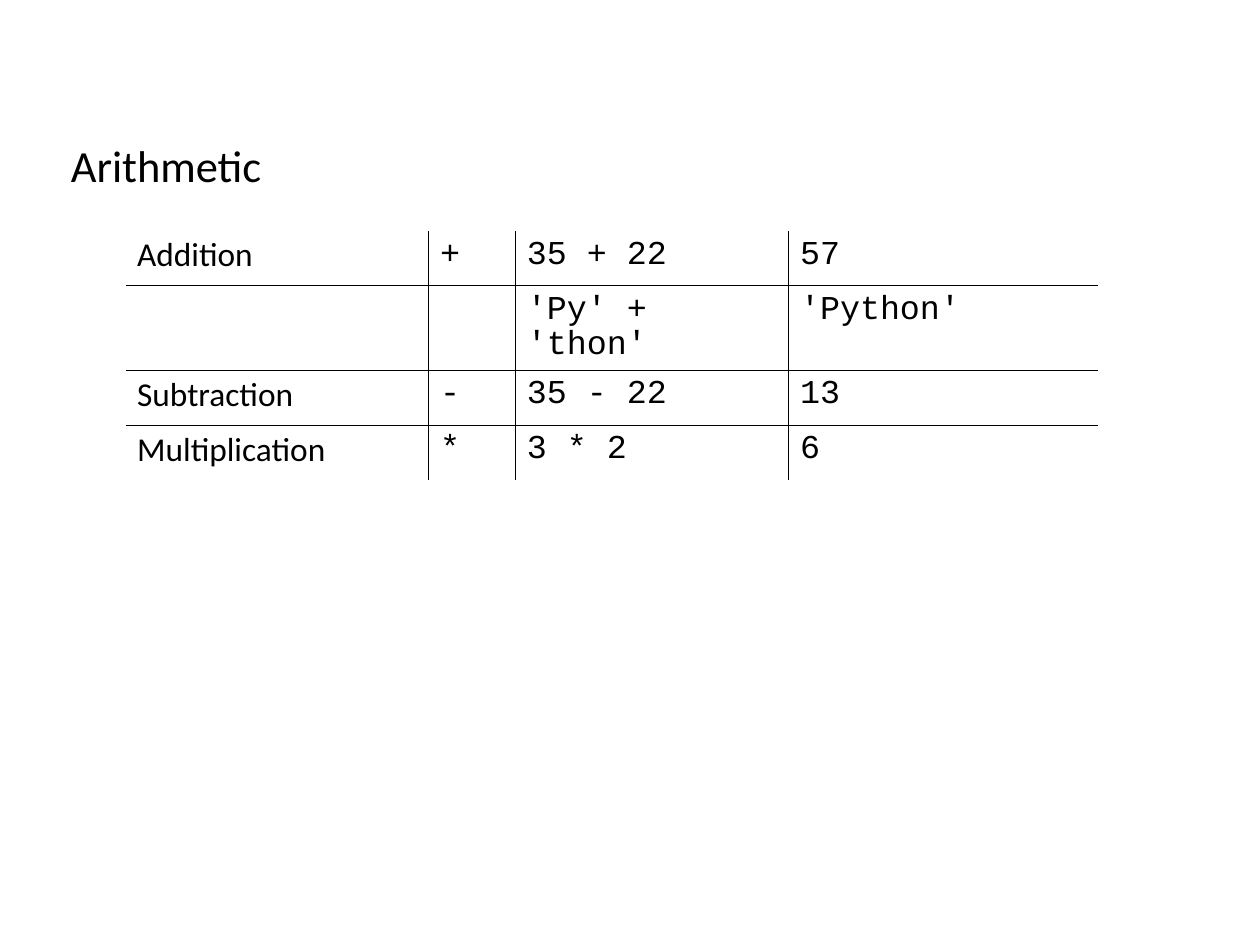
import pptx
import pptx.dml.color
import pptx.enum.text
import pptx.oxml.ns
import pptx.util
from lxml import etree

BLACK = pptx.dml.color.RGBColor(0x00, 0x00, 0x00)
WHITE = pptx.dml.color.RGBColor(0xFF, 0xFF, 0xFF)
TEXT_FONT = "Calibri"
CODE_FONT = "Courier New"
TITLE_ONLY_LAYOUT = 5

# Slide size in centimetres, all other lengths in inches
SLIDE_SIZE = (28, 21)
TITLE_BOX = (0.52, 0.92, 2.86, 0.8)
TABLE_BOX = (1.1, 2.02, 8.51, 2.18)
COLUMN_WIDTHS = (2.65, 0.76, 2.39, 2.71)
ROW_HEIGHTS = (0.48, 0.74, 0.48, 0.48)
RULE_WIDTH = 0.45

OPERATIONS = (
    ("Addition", "+", "35 + 22", "57"),
    ("", "", "'Py' + 'thon'", "'Python'"),
    ("Subtraction", "-", "35 - 22", "13"),
    ("Multiplication", "*", "3 * 2", "6"),
)


def add_text(paragraph, text, font_name, size):
    run = paragraph.add_run()
    run.text = text
    run.font.name = font_name
    run.font.size = pptx.util.Pt(size)
    run.font.color.rgb = BLACK


def add_title(slide, box, text):
    title = slide.shapes.title
    title.left, title.top, title.width, title.height = map(pptx.util.Inches, box)
    frame = title.text_frame
    frame.word_wrap = False
    frame.auto_size = pptx.enum.text.MSO_AUTO_SIZE.NONE
    frame.vertical_anchor = pptx.enum.text.MSO_ANCHOR.TOP
    paragraph = frame.paragraphs[0]
    paragraph.alignment = pptx.enum.text.PP_ALIGN.LEFT
    paragraph.line_spacing = 1.5
    add_text(paragraph, text, TEXT_FONT, 28)


def set_borders(cell, visible_edges):
    """Rule the visible edges of a cell and clear the others."""
    properties = cell._tc.get_or_add_tcPr()
    for edge in "LRTB":
        line = etree.SubElement(properties, pptx.oxml.ns.qn(f"a:ln{edge}"))
        line.set("w", str(pptx.util.Pt(RULE_WIDTH)))
        if edge in visible_edges:
            fill = etree.SubElement(line, pptx.oxml.ns.qn("a:solidFill"))
            color = etree.SubElement(fill, pptx.oxml.ns.qn("a:srgbClr"))
            color.set("val", str(BLACK))
        else:
            etree.SubElement(line, pptx.oxml.ns.qn("a:noFill"))


def inner_edges(row, column):
    """Return the edges that a cell shares with a neighbour."""
    shared = {
        "L": column > 0,
        "R": column < len(COLUMN_WIDTHS) - 1,
        "T": row > 0,
        "B": row < len(ROW_HEIGHTS) - 1,
    }
    return [edge for edge, is_shared in shared.items() if is_shared]


def add_operations_table(slide, box, operations):
    frame = slide.shapes.add_table(
        len(ROW_HEIGHTS), len(COLUMN_WIDTHS), *map(pptx.util.Inches, box)
    )
    table = frame.table
    table.first_row = False
    table.horz_banding = False
    for column, width in zip(table.columns, COLUMN_WIDTHS):
        column.width = pptx.util.Inches(width)
    for row, height in zip(table.rows, ROW_HEIGHTS):
        row.height = pptx.util.Inches(height)

    for row_index, operation in enumerate(operations):
        for column_index, text in enumerate(operation):
            cell = table.cell(row_index, column_index)
            set_borders(cell, inner_edges(row_index, column_index))
            cell.fill.background()
            if text:
                paragraph = cell.text_frame.paragraphs[0]
                paragraph.line_spacing = 0.93
                paragraph.space_after = pptx.util.Pt(14.3)
                font_name = CODE_FONT if column_index else TEXT_FONT
                add_text(paragraph, text, font_name, 21)


def main():
    presentation = pptx.Presentation()
    presentation.slide_width, presentation.slide_height = map(
        pptx.util.Cm, SLIDE_SIZE
    )
    layout = presentation.slide_layouts[TITLE_ONLY_LAYOUT]
    slide = presentation.slides.add_slide(layout)
    slide.background.fill.solid()
    slide.background.fill.fore_color.rgb = WHITE

    # Heading
    add_title(slide, TITLE_BOX, "Arithmetic")
    # Operators with an example and its result
    add_operations_table(slide, TABLE_BOX, OPERATIONS)

    presentation.save("out.pptx")


if __name__ == "__main__":
    main()
